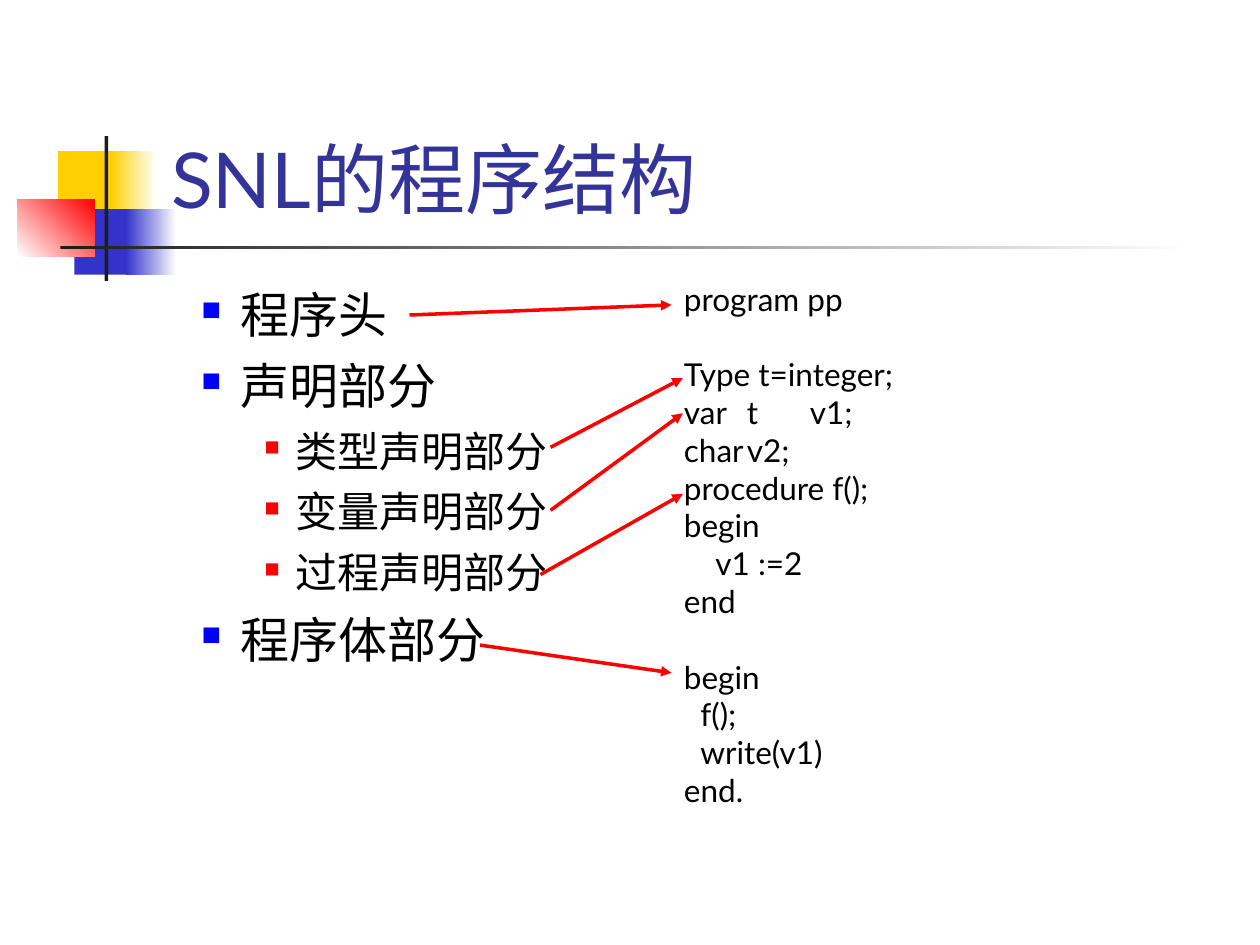
"""Build a slide that links the parts of an SNL program to sample code."""
from pptx import Presentation
from pptx.dml.color import RGBColor
from pptx.enum.shapes import MSO_CONNECTOR, MSO_SHAPE
from pptx.enum.text import MSO_ANCHOR
from pptx.oxml.ns import qn
from pptx.util import Inches, Pt
from lxml import etree

RECT = MSO_SHAPE.RECTANGLE
LINE = MSO_CONNECTOR.STRAIGHT
TOP, BOTTOM = MSO_ANCHOR.TOP, MSO_ANCHOR.BOTTOM
FONT = "Lato"
BLACK, WHITE, INK, NAVY = "000000", "FFFFFF", "1C1C1C", "333399"
GOLD, BLUE, RED, PURE = "FFCF01", "3333CC", "FF0000", "0000FF"
ROW = 21.6

BLOCKS = [
    (0.46, 1.2, 0.48, 0.52, (GOLD,)),
    (0.88, 1.2, 0.36, 0.52, (GOLD, WHITE)),
    (0.59, 1.66, 0.46, 0.52, (BLUE,)),
    (1, 1.66, 0.4, 0.52, (BLUE, WHITE)),
    (0.14, 1.58, 0.61, 0.46, (WHITE, RED), 45),
    (0.83, 1.08, 0.03, 1.15, (INK,)),
    (0.48, 1.95, 9, 0.03, (INK, WHITE)),
]
LEVELS = {
    1: dict(size=28, left=0.81, hang=0.31, before=7, mark=(PURE, 55)),
    2: dict(size=24, left=1.25, hang=0.25, before=6, mark=(RED, 50)),
}
PARTS = [
    ("程序头", 1),
    ("声明部分", 1),
    ("类型声明部分", 2),
    ("变量声明部分", 2),
    ("过程声明部分", 2),
    ("程序体部分", 1),
]
CODE = [
    ("program pp", {}),
    ("Type t=integer;", dict(before=ROW)),
    ("var\tt\tv1;", dict(tabs=(0.53, 0.75))),
    ("char\tv2;", dict(tabs=(0.6,))),
    ("procedure f();", {}),
    ("begin", {}),
    ("v1 :=2", dict(left=0.25)),
    ("end", {}),
    ("begin", dict(before=ROW)),
    ("f();", dict(left=0.13)),
    ("write(v1)", dict(left=0.13)),
    ("end.", {}),
]
ARROWS = [
    (3.25, 2.5, 5.33, 2.42),
    (4.37, 3.55, 5.42, 3),
    (4.37, 4.05, 5.42, 3.28),
    (4.29, 4.56, 5.42, 3.92),
    (3.81, 5.12, 5.33, 5.34),
]


def tint(code):
    """Turn a hex string into a colour."""
    return RGBColor.from_string(code)


def child(node, tag, **attrs):
    """Add a drawing element below a node."""
    part = etree.SubElement(node, qn(tag))
    for key, value in attrs.items():
        part.set(key, str(value))
    return part


class Deck:
    """Hold the style and the current slide."""

    def __init__(self, slide, font):
        """Keep the slide and its font."""
        self.slide, self.font = slide, font

    def block(self, x, y, w, h, hues, angle=0):
        """Draw a rectangle with a plain or fading fill."""
        shape = self.slide.shapes.add_shape(RECT, *map(Inches, (x, y, w, h)))
        shape.shadow.inherit = False
        shape.line.fill.background()
        if len(hues) == 1:
            shape.fill.solid()
            shape.fill.fore_color.rgb = tint(hues[0])
            return
        shape.fill.gradient()
        shape.fill.gradient_angle = angle
        for stop, hue in zip(shape.fill.gradient_stops, hues):
            stop.color.rgb = tint(hue)

    def text(self, x, y, w, h, lines, anchor=TOP):
        """Place a text box and fill it line by line."""
        frame = self.slide.shapes.add_textbox(*map(Inches, (x, y, w, h))).text_frame
        frame.word_wrap = True
        frame.vertical_anchor = anchor
        for i, (words, look) in enumerate(lines):
            para = frame.add_paragraph() if i else frame.paragraphs[0]
            self.row(para, words, **look)

    def row(self, para, words, size=18, hue=BLACK, left=0, hang=0,
            before=0, mark=None, tabs=()):
        """Add one run and set the layout of its paragraph."""
        run = para.add_run()
        run.text = words
        run.font.name, run.font.size = self.font, Pt(size)
        run.font.color.rgb = tint(hue)
        para.space_before = Pt(before)
        props = para._p.get_or_add_pPr()
        props.set("marL", str(Inches(left)))
        props.set("indent", str(-Inches(hang)))
        if mark:
            child(child(props, "a:buClr"), "a:srgbClr", val=mark[0])
            child(props, "a:buSzPct", val=mark[1] * 1000)
            child(props, "a:buChar", char="■")
        if tabs:
            stops = child(props, "a:tabLst")
            for pos in tabs:
                child(stops, "a:tab", pos=Inches(pos), algn="l")

    def arrow(self, *ends):
        """Draw a red arrow between two points."""
        link = self.slide.shapes.add_connector(LINE, *map(Inches, ends))
        link.line.width = Pt(2)
        link.line.color.rgb = tint(RED)
        child(link.line._get_or_add_ln(), "a:tailEnd", type="triangle")
        child(link._element.spPr, "a:effectLst")


def main():
    """Build and save the slide."""
    show = Presentation()
    show.slide_width, show.slide_height = Inches(10), Inches(7.5)
    deck = Deck(show.slides.add_slide(show.slide_layouts[6]), FONT)
    for block in BLOCKS:
        deck.block(*block)
    title = [("SNL的程序结构", dict(size=44, hue=NAVY))]
    deck.text(1.26, 0.23, 8.52, 1.6, title, BOTTOM)
    deck.text(1, 2.21, 4.25, 5.13, [(words, LEVELS[rank]) for words, rank in PARTS])
    deck.text(5.33, 2.17, 3.92, 4.3, CODE)
    for ends in ARROWS:
        deck.arrow(*ends)
    show.save("out.pptx")


if __name__ == "__main__":
    main()
